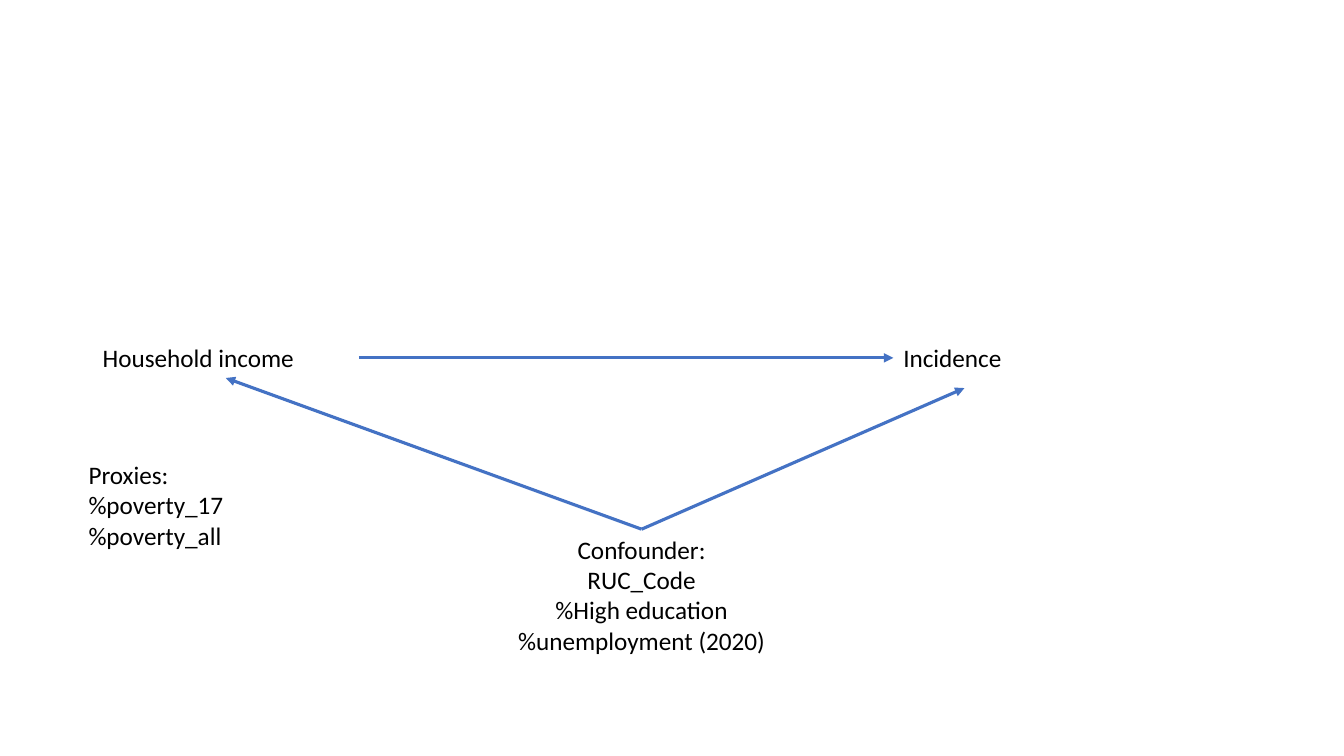
from lxml.etree import SubElement
from pptx import Presentation
from pptx.dml.color import RGBColor
from pptx.enum.shapes import MSO_CONNECTOR
from pptx.enum.text import MSO_AUTO_SIZE, PP_ALIGN
from pptx.oxml.ns import qn
from pptx.util import Inches, Pt

WIDE, HIGH = 13.33, 7.5
COLORS = {"text": "000000", "arrow": "4472C4"}

# name: (lines, left %, top %, width % of the slide, alignment)
NODES = {
    "confounder": (["Confounder:", "RUC_Code", "%High education",
                    "%unemployment (2020)"], 36, 70, 23.48, PP_ALIGN.CENTER),
    "outcome": (["Incidence"], 66.47, 44.67, 12.6, PP_ALIGN.LEFT),
    "income": (["Household income"], 6.9, 44.67, 19.8, PP_ALIGN.LEFT),
    "proxies": (["Proxies:", "%poverty_17", "%poverty_all"],
                5.85, 60.13, 14.03, PP_ALIGN.LEFT),
}
# (node, share across, share down) at each end
ARROWS = [
    (("income", 1, 0.5), ("outcome", 0, 0.5)),
    (("confounder", 0.5, 0), ("income", 0.5, 1)),
    (("confounder", 0.5, 0), ("outcome", 0.42, 1.25)),
]
LINE, PAD = 0.3, 0.1  # height of a text line and of both margins, inches


def frame(name):
    """Left, top, width and height of a node in inches."""
    lines, left, top, width, _ = NODES[name]
    return (left * WIDE / 100, top * HIGH / 100, width * WIDE / 100,
            LINE * len(lines) + PAD)


def point(name, across, down):
    left, top, width, height = frame(name)
    return Inches(left + across * width), Inches(top + down * height)


def add_text(slide, lines, box, size=18, font="Calibri", color="text",
             align=PP_ALIGN.LEFT):
    body = slide.shapes.add_textbox(*map(Inches, box)).text_frame
    body.word_wrap = True
    body.auto_size = MSO_AUTO_SIZE.SHAPE_TO_FIT_TEXT
    body.text = "\n".join(lines)
    for para in body.paragraphs:
        para.alignment = align
        for run in para.runs:
            run.font.size = Pt(size)
            run.font.name = font
            run.font.color.rgb = RGBColor.from_string(COLORS[color])


def add_arrow(slide, start, end):
    arrow = slide.shapes.add_connector(MSO_CONNECTOR.STRAIGHT, *start, *end)
    arrow.line.width = Pt(2.25)
    arrow.line.color.rgb = RGBColor.from_string(COLORS["arrow"])
    SubElement(arrow.line._get_or_add_ln(), qn("a:tailEnd"), type="triangle")
    SubElement(arrow._element.spPr, qn("a:effectLst"))


def main():
    deck = Presentation()
    deck.slide_width, deck.slide_height = Inches(WIDE), Inches(HIGH)
    slide = deck.slides.add_slide(deck.slide_layouts[6])
    for name, node in NODES.items():
        add_text(slide, node[0], frame(name), align=node[-1])
    for start, end in ARROWS:
        add_arrow(slide, point(*start), point(*end))
    deck.save("out.pptx")


if __name__ == "__main__":
    main()
